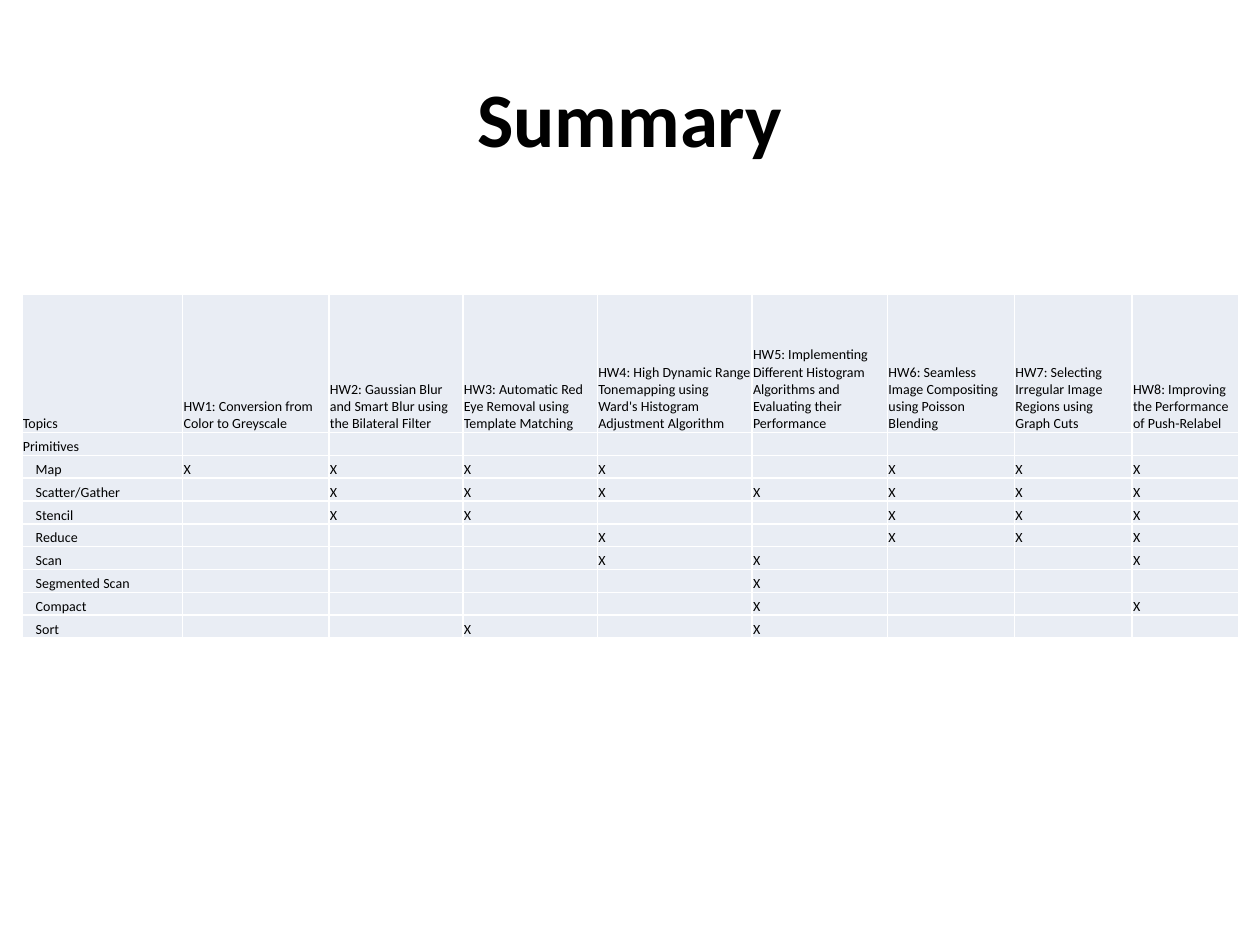
import pptx
import pptx.util
import pptx.dml.color
import pptx.enum.text
import pptx.oxml
import pptx.oxml.ns
from dataclasses import dataclass
from pptx.util import Cm


@dataclass(frozen=True)
class Theme:
    font: str = "Calibri"
    ink: str = "000000"
    cell: str = "E9EDF4"
    border: str = "FFFFFF"
    title_size: int = 44
    cell_size: int = 8
    border_width: int = 1


theme = Theme()

homeworks = [
    "HW1: Conversion from Color to Greyscale",
    "HW2: Gaussian Blur and Smart Blur using the Bilateral Filter",
    "HW3: Automatic Red Eye Removal using Template Matching",
    "HW4: High Dynamic Range Tonemapping using Ward's Histogram Adjustment Algorithm",
    "HW5: Implementing Different Histogram Algorithms and Evaluating their Performance",
    "HW6: Seamless Image Compositing using Poisson Blending",
    "HW7: Selecting Irregular Image Regions using Graph Cuts",
    "HW8: Improving the Performance of Push-Relabel",
]
# Primitives and the numbers of the homeworks that use them
primitives = {
    "Map": [1, 2, 3, 4, 6, 7, 8],
    "Scatter/Gather": [2, 3, 4, 5, 6, 7, 8],
    "Stencil": [2, 3, 6, 7, 8],
    "Reduce": [4, 6, 7, 8],
    "Scan": [4, 5, 8],
    "Segmented Scan": [5],
    "Compact": [5, 8],
    "Sort": [3, 5],
}
column_widths = [3.24, 2.95, 2.7, 2.71, 3.12, 2.73, 2.56, 2.37, 2.15]
header_height, row_height = 2.79, 0.46
inset, indent = 0.02, 0.26


def style_span(span, size, bold=False):
    span.font.name = theme.font
    span.font.size = pptx.util.Pt(size)
    span.font.bold = bold
    span.font.color.rgb = pptx.dml.color.RGBColor.from_string(theme.ink)


def style_cell(cell):
    cell.fill.solid()
    cell.fill.fore_color.rgb = pptx.dml.color.RGBColor.from_string(theme.cell)
    properties = cell._tc.get_or_add_tcPr()
    for position, side in enumerate(["lnL", "lnR", "lnT", "lnB"]):
        properties.insert(position, pptx.oxml.parse_xml(
            f'<a:{side} {pptx.oxml.ns.nsdecls("a")} w="{pptx.util.Pt(theme.border_width)}">'
            f'<a:solidFill><a:srgbClr val="{theme.border}"/></a:solidFill></a:{side}>'))


deck = pptx.Presentation()
deck.slide_width, deck.slide_height = Cm(25.4), Cm(19.05)
page = deck.slides.add_slide(deck.slide_layouts[6])

# Title
box = page.shapes.add_textbox(Cm(1.27), Cm(0.76), Cm(22.86), Cm(3.18))
box.text_frame.word_wrap = True
box.text_frame.vertical_anchor = pptx.enum.text.MSO_ANCHOR.MIDDLE
box.text_frame.text = "Summary"
para = box.text_frame.paragraphs[0]
para.alignment = pptx.enum.text.PP_ALIGN.CENTER
style_span(para.runs[0], theme.title_size, bold=True)

# Rows of the topic table
rows = [["Topics"] + homeworks, ["Primitives"] + [""] * len(homeworks)]
for primitive, users in primitives.items():
    marks = ["X" if number in users else "" for number in range(1, len(homeworks) + 1)]
    rows.append([primitive] + marks)

# Table grid
heights = [header_height] + [row_height] * (len(rows) - 1)
table = page.shapes.add_table(len(rows), len(column_widths), Cm(0.44), Cm(5.93),
                              Cm(sum(column_widths)), Cm(sum(heights))).table
table.first_row = table.horz_banding = False
for column, width in zip(table.columns, column_widths):
    column.width = Cm(width)
for row, height in zip(table.rows, heights):
    row.height = Cm(height)

# Table cells
for row_number, texts in enumerate(rows):
    for column_number, text in enumerate(texts):
        cell = table.cell(row_number, column_number)
        indented = column_number == 0 and text in primitives
        cell.margin_left = Cm(inset + indent if indented else inset)
        cell.margin_right = cell.margin_top = Cm(inset)
        cell.margin_bottom = Cm(0)
        cell.vertical_anchor = pptx.enum.text.MSO_ANCHOR.BOTTOM
        style_cell(cell)
        para = cell.text_frame.paragraphs[0]
        if text:
            para.text = text
            style_span(para.runs[0], theme.cell_size)
        else:
            # Keeps an empty cell from stretching its row
            para._p.append(pptx.oxml.parse_xml(
                f'<a:endParaRPr {pptx.oxml.ns.nsdecls("a")} sz="{theme.cell_size * 100}"/>'))

deck.save("out.pptx")
